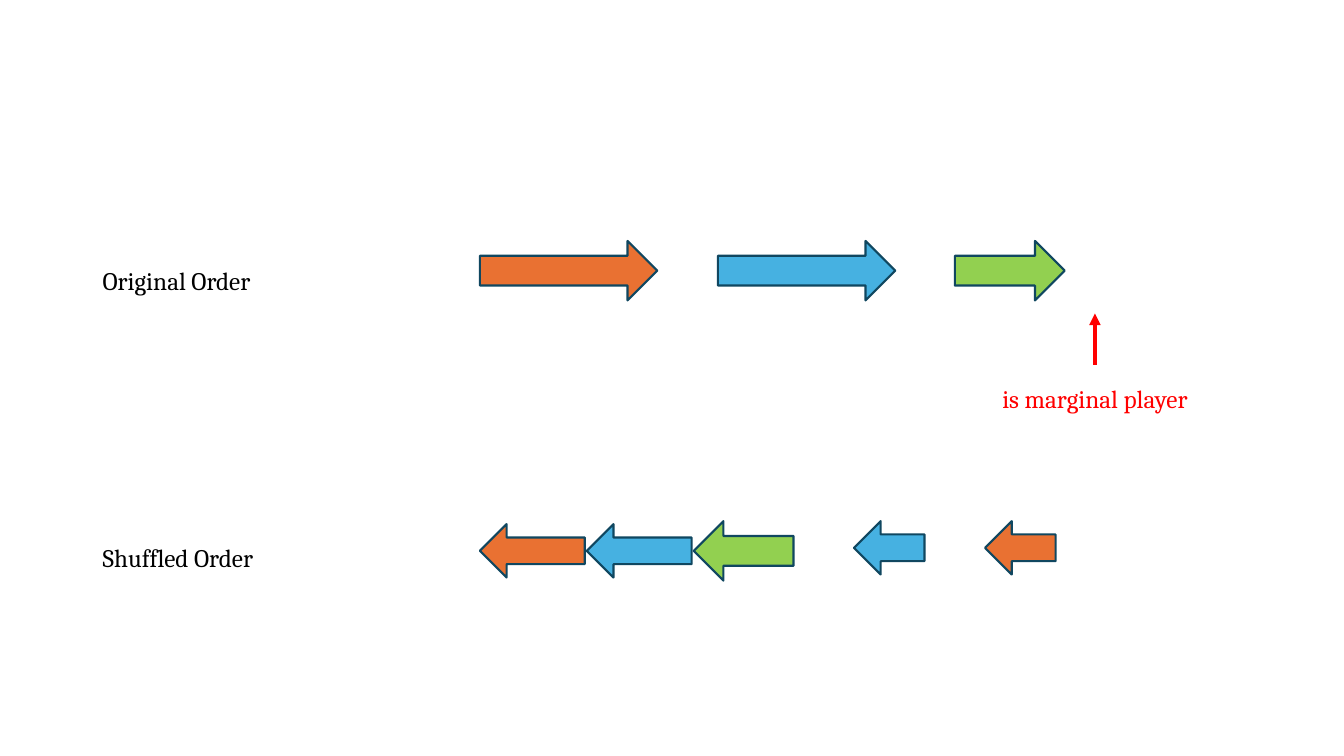
"""Build a slide comparing the original and shuffled order of players."""
from lxml.etree import SubElement
from pptx import Presentation
from pptx.dml.color import RGBColor
from pptx.enum.shapes import MSO_CONNECTOR as Connector, MSO_SHAPE as Shape
from pptx.enum.text import MSO_AUTO_SIZE as AutoSize, PP_ALIGN as Align
from pptx.oxml.ns import qn
from pptx.util import Inches, Pt


def color(hex_string):
    return RGBColor.from_string(hex_string)


ORANGE, BLUE, GREEN = "E97132", "46B1E1", "92D050"
OUTLINE, RED, BLACK = "104760", "FF0000", "000000"

presentation = Presentation()
presentation.slide_width = Inches(13.33)
presentation.slide_height = Inches(7.5)
slide = presentation.slides.add_slide(presentation.slide_layouts[6])

labels = [
    ("Original Order", 0.92, 2.58, 2.03, Align.LEFT, BLACK),
    ("Shuffled Order", 0.92, 5.33, 2.03, Align.LEFT, BLACK),
    ("is marginal player", 9.3, 3.75, 3.12, Align.CENTER, RED),
]
for text, left, top, width, alignment, text_color in labels:
    box = slide.shapes.add_textbox(Inches(left), Inches(top), Inches(width), Inches(0.4))
    frame = box.text_frame
    frame.word_wrap = True
    frame.auto_size = AutoSize.SHAPE_TO_FIT_TEXT
    paragraph = frame.paragraphs[0]
    paragraph.alignment = alignment
    run = paragraph.add_run()
    run.text = text
    for name, value in {"name": "Cambria", "size": Pt(18)}.items():
        setattr(run.font, name, value)
    run.font.color.rgb = color(text_color)

arrows = [
    (Shape.RIGHT_ARROW, 4.76, 2.39, 1.76, 0.59, ORANGE),
    (Shape.RIGHT_ARROW, 7.12, 2.39, 1.76, 0.59, BLUE),
    (Shape.RIGHT_ARROW, 9.47, 2.39, 1.09, 0.59, GREEN),
    (Shape.LEFT_ARROW, 4.76, 5.2, 1.04, 0.53, ORANGE),
    (Shape.LEFT_ARROW, 5.82, 5.2, 1.04, 0.53, BLUE),
    (Shape.LEFT_ARROW, 6.88, 5.17, 0.99, 0.59, GREEN),
    (Shape.LEFT_ARROW, 8.47, 5.17, 0.7, 0.53, BLUE),
    (Shape.LEFT_ARROW, 9.77, 5.17, 0.7, 0.53, ORANGE),
]
for kind, left, top, width, height, fill_color in arrows:
    arrow = slide.shapes.add_shape(
        kind, Inches(left), Inches(top), Inches(width), Inches(height)
    )
    arrow.shadow.inherit = False
    arrow.fill.solid()
    arrow.fill.fore_color.rgb = color(fill_color)
    arrow.line.color.rgb = color(OUTLINE)
    arrow.line.width = Pt(1.5)

pointer = slide.shapes.add_connector(
    Connector.STRAIGHT, Inches(10.86), Inches(3.62), Inches(10.86), Inches(3.11)
)
pointer.line.color.rgb = color(RED)
pointer.line.width = Pt(2.75)
SubElement(pointer.line._get_or_add_ln(), qn("a:tailEnd"), type="triangle")
SubElement(pointer._element.spPr, qn("a:effectLst"))

presentation.save("out.pptx")
